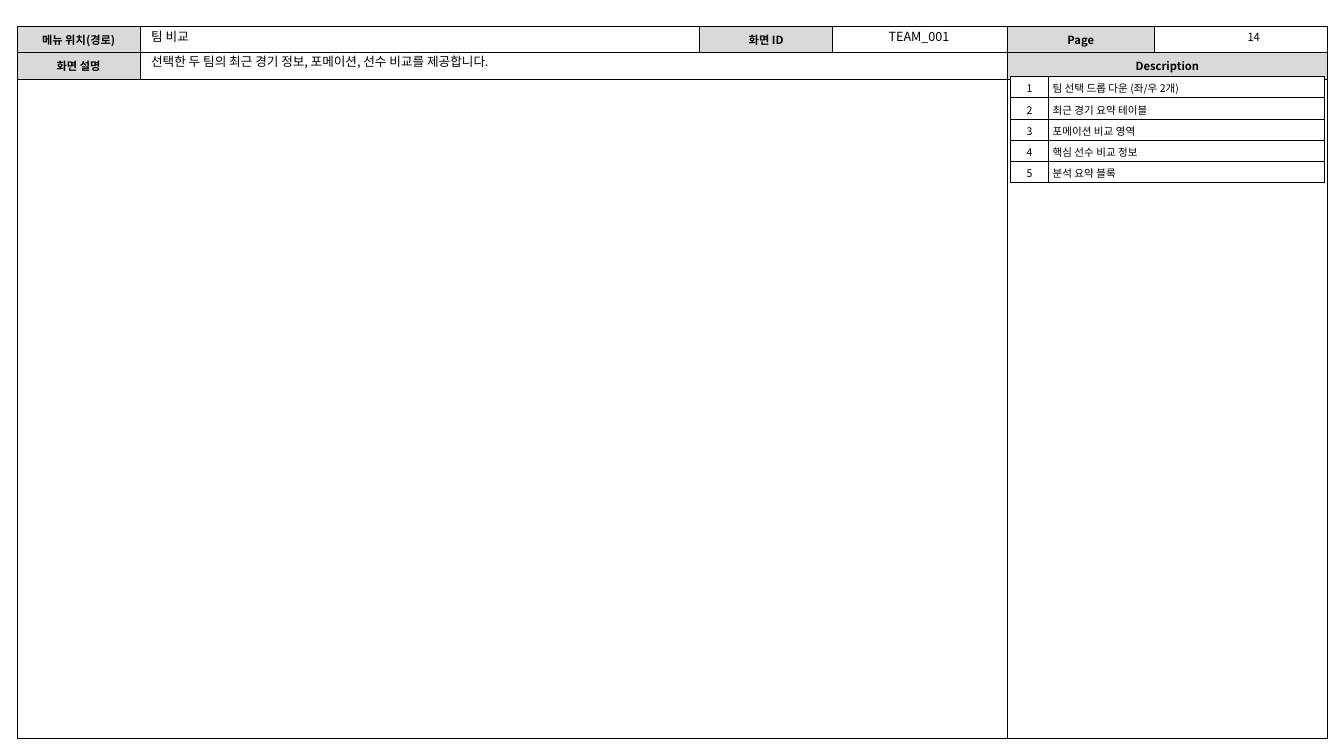
from lxml.etree import SubElement
from pptx import Presentation
from pptx.dml.color import RGBColor
from pptx.enum.text import MSO_ANCHOR, PP_ALIGN
from pptx.oxml import parse_xml
from pptx.oxml.ns import nsdecls, qn
from pptx.util import Inches, Pt

FONT = "Noto Sans CJK KR"
BLACK = RGBColor(0x00, 0x00, 0x00)
WHITE = RGBColor(0xFF, 0xFF, 0xFF)
LABEL_GRAY = RGBColor(0xD9, 0xD9, 0xD9)

SCREEN_NAME = "팀 비교"
# text, box (left, top, width, height), format
HEADER_VALUES = [
    ("14", (11.7, 0.25, 1.47, 0.23),
     {"size": 8, "align": PP_ALIGN.CENTER, "anchor": MSO_ANCHOR.MIDDLE, "margin": 0}),
    ("선택한 두 팀의 최근 경기 정보, 포메이션, 선수 비교를 제공합니다.",
     (1.4, 0.5, 8.55, 0.23), {"size": 9, "spacing": 0.9}),
    ("TEAM_001", (8.28, 0.25, 1.67, 0.23),
     {"size": 9, "spacing": 0.9, "align": PP_ALIGN.CENTER}),
]
SCREEN_NAME_BOX = (1.4, 0.25, 5.51, 0.23)

FRAME_ROWS = [
    ["메뉴 위치(경로)", "", "화면 ID", "", "Page", ""],
    ["화면 설명", "", "", "", "Description", ""],
    ["", "", "", "", "", ""],
]
FRAME_SPANS = [((1, 1), (1, 3)), ((1, 4), (1, 5)), ((2, 0), (2, 3)), ((2, 4), (2, 5))]
FRAME_WIDTHS = [1.22, 5.55, 1.32, 1.73, 1.46, 1.72]
FRAME_HEIGHTS = [0.23, 0.23, 6.54]

DESCRIPTIONS = [
    "팀 선택 드롭 다운 (좌/우 2개)",
    "최근 경기 요약 테이블",
    "포메이션 비교 영역",
    "핵심 선수 비교 정보",
    "분석 요약 블록",
]
DESCRIPTION_WIDTHS = [0.38, 2.73]
DESCRIPTION_HEIGHT = 0.21


def write(paragraph, text, size, bold=False, align=PP_ALIGN.LEFT, spacing=None):
    paragraph.alignment = align
    if spacing:
        paragraph.line_spacing = spacing
    if not text:
        # An empty cell keeps its row low only with a small end mark.
        SubElement(paragraph._p, qn("a:endParaRPr"), sz=str(int(size * 100)))
        return
    run = paragraph.add_run()
    run.text = text
    for name, value in {"name": FONT, "size": Pt(size), "bold": bold}.items():
        setattr(run.font, name, value)
    run.font.color.rgb = BLACK
    SubElement(run._r.rPr, qn("a:ea"), typeface=FONT)


def set_margins(area, horizontal, vertical):
    for side in ("left", "right"):
        setattr(area, f"margin_{side}", Inches(horizontal))
    for side in ("top", "bottom"):
        setattr(area, f"margin_{side}", Inches(vertical))


def fill_box(shape, text, box, anchor=MSO_ANCHOR.TOP, margin=None, **text_format):
    for name, value in zip(("left", "top", "width", "height"), box):
        setattr(shape, name, Inches(value))
    frame = shape.text_frame
    frame.word_wrap = True
    frame.vertical_anchor = anchor
    if margin is None:
        set_margins(frame, 0.1, 0.05)
    else:
        set_margins(frame, margin, margin)
    write(frame.paragraphs[0], text, **text_format)


def add_border(cell):
    properties = cell._tc.get_or_add_tcPr()
    for place, side in enumerate(("lnL", "lnR", "lnT", "lnB")):
        properties.insert(place, parse_xml(
            f'<a:{side} {nsdecls("a")} w="{Pt(0.5)}"><a:solidFill>'
            f'<a:srgbClr val="{BLACK}"/></a:solidFill></a:{side}>'))


def add_grid(slide, left, top, widths, heights):
    table = slide.shapes.add_table(
        len(heights), len(widths), Inches(left), Inches(top),
        Inches(sum(widths)), Inches(sum(heights))).table
    table.first_row = table.horz_banding = False
    for column, width in zip(table.columns, widths):
        column.width = Inches(width)
    for row, height in zip(table.rows, heights):
        row.height = Inches(height)
    return table


def fill_cell(cell, text, color, margins, **text_format):
    cell.fill.solid()
    cell.fill.fore_color.rgb = color
    cell.vertical_anchor = MSO_ANCHOR.MIDDLE
    set_margins(cell, *margins)
    add_border(cell)
    write(cell.text_frame.paragraphs[0], text, **text_format)


def add_frame(slide):
    frame = add_grid(slide, 0.17, 0.26, FRAME_WIDTHS, FRAME_HEIGHTS)
    for row, labels in enumerate(FRAME_ROWS):
        for column, label in enumerate(labels):
            fill_cell(frame.cell(row, column), label, LABEL_GRAY if label else WHITE,
                      (0.1, 0.05), size=8, bold=True, align=PP_ALIGN.CENTER)
    for first, last in FRAME_SPANS:
        frame.cell(*first).merge(frame.cell(*last))


def add_descriptions(slide):
    descriptions = add_grid(slide, 10.02, 0.76, DESCRIPTION_WIDTHS,
                            [DESCRIPTION_HEIGHT] * len(DESCRIPTIONS))
    for row, description in enumerate(DESCRIPTIONS):
        fill_cell(descriptions.cell(row, 0), str(row + 1), WHITE, (0.04, 0.04),
                  size=7.5, align=PP_ALIGN.CENTER)
        fill_cell(descriptions.cell(row, 1), description, WHITE, (0.04, 0.04), size=7.5)


def main():
    presentation = Presentation()
    presentation.slide_width = Inches(13.33)
    presentation.slide_height = Inches(7.5)
    slide = presentation.slides.add_slide(presentation.slide_layouts[5])

    add_frame(slide)
    screen_name = slide.shapes.title
    fill_box(screen_name, SCREEN_NAME, SCREEN_NAME_BOX, size=9, spacing=0.9)
    slide.shapes._spTree.append(screen_name._element)  # in front of the frame
    for text, box, text_format in HEADER_VALUES:
        fill_box(slide.shapes.add_textbox(0, 0, 0, 0), text, box, **text_format)
    add_descriptions(slide)
    presentation.save("out.pptx")


if __name__ == "__main__":
    main()
